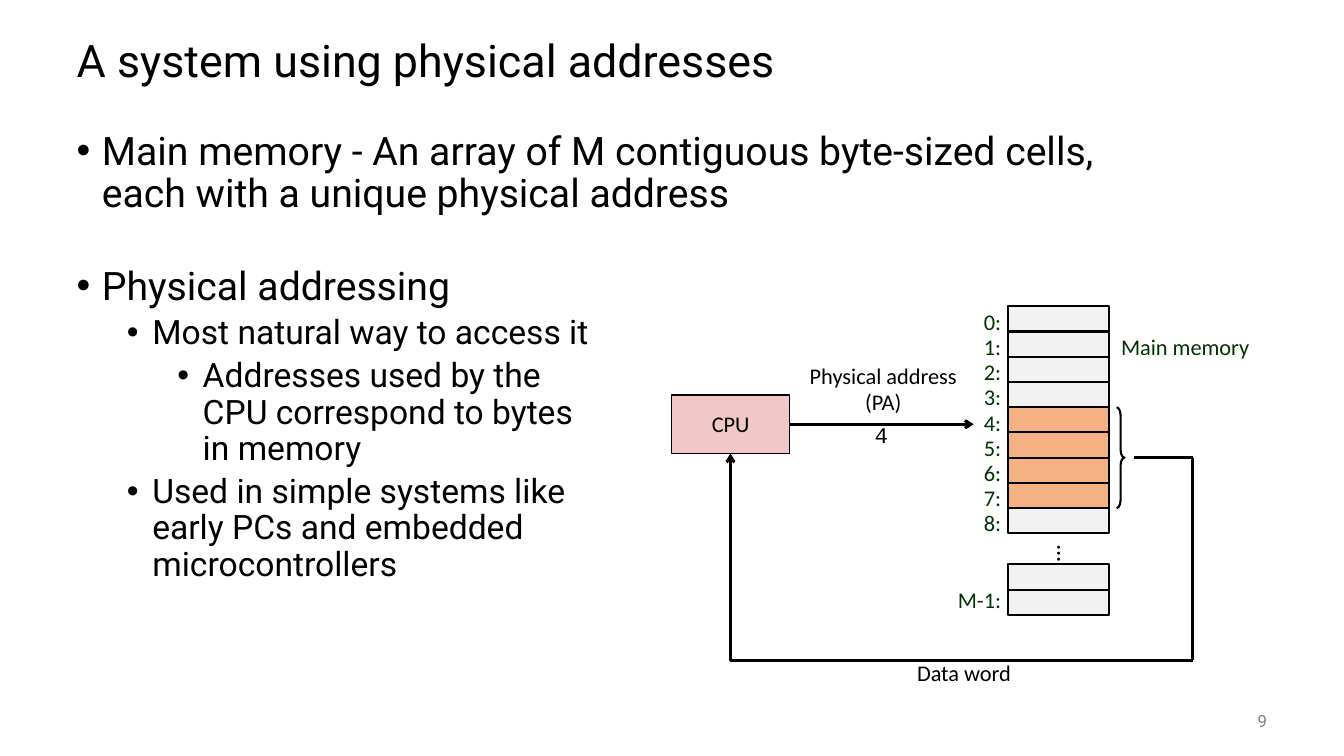
from lxml.etree import SubElement
from pptx import Presentation
from pptx.dml.color import RGBColor
from pptx.enum.shapes import MSO_CONNECTOR, MSO_SHAPE
from pptx.enum.text import MSO_ANCHOR, MSO_AUTO_SIZE, PP_ALIGN
from pptx.oxml.ns import qn
from pptx.util import Cm, Pt

COLORS = {
    "ink": "000000",
    "address": "003300",
    "cell": "F2F2F2",
    "word": "F4B183",
    "cpu": "F1C7C7",
    "page": "808080",
}
LEFT, CENTER, RIGHT = PP_ALIGN.LEFT, PP_ALIGN.CENTER, PP_ALIGN.RIGHT


def write(paragraph, text, size, font="Calibri", color="ink", align=CENTER, spacing=0.98):
    """Fill a paragraph with runs, one for each line of the text."""
    paragraph.alignment = align
    paragraph.line_spacing = spacing
    for number, line in enumerate(text.split("\n")):
        if number:
            paragraph.add_line_break()
        run = paragraph.add_run()
        run.text = line
        run.font.size = Pt(size)
        run.font.name = font
        run.font.color.rgb = RGBColor.from_string(COLORS[color])


def add_box(preset, left, top, width, height, fill=None, weight=1.5):
    box = slide.shapes.add_shape(preset, Cm(left), Cm(top), Cm(width), Cm(height))
    box.shadow.inherit = False
    if fill:
        box.fill.solid()
        box.fill.fore_color.rgb = RGBColor.from_string(COLORS[fill])
    else:
        box.fill.background()
    box.line.color.rgb = RGBColor.from_string(COLORS["ink"])
    box.line.width = Pt(weight)
    return box


deck = Presentation()
deck.slide_width, deck.slide_height = Cm(33.87), Cm(19.05)
slide = deck.slides.add_slide(deck.slide_layouts[5])

# Title
title = slide.shapes.title
title.left, title.top, title.width, title.height = Cm(1.68), Cm(0.64), Cm(30.48), Cm(1.9)
title.text_frame.auto_size = MSO_AUTO_SIZE.NONE
title.text_frame.vertical_anchor = MSO_ANCHOR.MIDDLE
write(title.text_frame.paragraphs[0], "A system using physical addresses", 32, "Roboto",
      align=LEFT, spacing=0.9)

# Bullets: level, size, space before, text
bullets = [
    (0, 28, 0, "Main memory - An array of M contiguous byte-sized cells, "
               "each with a unique physical address"),
    (0, 28, 36, "Physical addressing"),
    (1, 24, 5, "Most natural way to access it"),
    (2, 24, 5, "Addresses used by the\nCPU correspond to bytes\nin memory"),
    (1, 24, 5, "Used in simple systems like\nearly PCs and embedded\nmicrocontrollers"),
]
body = slide.shapes.add_textbox(Cm(1.68), Cm(3.18), Cm(27.94), Cm(14.48)).text_frame
body.word_wrap = True
for number, (level, size, before, text) in enumerate(bullets):
    paragraph = body.add_paragraph() if number else body.paragraphs[0]
    properties = paragraph._p.get_or_add_pPr()
    properties.set("marL", str(Cm(0.64 + 1.27 * level)))
    properties.set("indent", str(-Cm(0.64)))
    SubElement(properties, qn("a:buFont"), typeface="Arial")
    SubElement(properties, qn("a:buChar"), char="•")
    paragraph.level = level
    paragraph.space_before = Pt(before)
    write(paragraph, text, size, "Roboto", align=LEFT, spacing=0.9)

# Memory cells, with the addressed word in bytes 4 to 7
memory_left, memory_top, cell_width = 25.4, 7.72, 2.54
cell_height = 5.72 / 9
last_top = 14.86
cell_tops = [memory_top + cell_height * address for address in range(9)]
for address, top in enumerate(cell_tops + [last_top - cell_height, last_top]):
    add_box(MSO_SHAPE.RECTANGLE, memory_left, top, cell_width, cell_height,
            "word" if 4 <= address <= 7 else "cell")
add_box(MSO_SHAPE.RIGHT_BRACE, 28.14, cell_tops[4], 0.2, 4 * cell_height).adjustments[0] = 1

cpu = add_box(MSO_SHAPE.RECTANGLE, 16.93, 9.95, 2.97, 1.48, "cpu", 1).text_frame
cpu.word_wrap = False
cpu.vertical_anchor = MSO_ANCHOR.MIDDLE
write(cpu.paragraphs[0], "CPU", 16)

# Labels: text, left, top, width, height, size, font, colour, alignment, line spacing, anchor
top_anchor, middle = MSO_ANCHOR.TOP, MSO_ANCHOR.MIDDLE
address_tops = [(f"{address}:", top) for address, top in enumerate(cell_tops)]
address_tops.append(("M-1:", last_top - 0.13))
labels = [
    (text, 23.85, top, 1.63, 0.84, 16, "Calibri", "address", RIGHT, 0.88, top_anchor)
    for text, top in address_tops
] + [
    ("Main memory", 27.94, 8.36, 3.86, 0.84, 16, "Calibri", "address", CENTER, 0.88, top_anchor),
    ("Physical address\n(PA)", 20.09, 9.02, 4.34, 1.6, 16, "Calibri", "ink", CENTER, 0.98, middle),
    ("4", 21.79, 10.49, 0.86, 0.94, 16, "Courier New", "ink", LEFT, 1.0, top_anchor),
    ("Data word", 22.81, 16.51, 2.97, 0.94, 16, "Calibri", "ink", CENTER, 0.98, middle),
    ("...", 25.6, 13.46, 2.54, 0.64, 18, "Calibri", "ink", CENTER, 0.98, middle),
    ("9", 29.64, 17.65, 2.54, 1.02, 12, "Roboto", "page", RIGHT, 1.0, middle),
]
for text, left, top, width, height, size, font, color, align, spacing, anchor in labels:
    frame = slide.shapes.add_textbox(Cm(left), Cm(top), Cm(width), Cm(height)).text_frame
    frame.word_wrap = False
    frame.vertical_anchor = anchor
    write(frame.paragraphs[0], text, size, font, color, align, spacing)
    if text == "...":
        frame._txBody.bodyPr.set("vert", "eaVert")

# Address bus to memory, and data bus back to the CPU: kind, start, end, arrowhead
straight, elbow = MSO_CONNECTOR.STRAIGHT, MSO_CONNECTOR.ELBOW
buses = [
    (straight, (19.9, 10.69), (24.54, 10.69), True),
    (straight, (28.58, 11.53), (30.06, 11.53), False),
    (straight, (30.06, 11.53), (30.06, 16.64), False),
    (elbow, (30.06, 16.64), (18.41, 11.43), True),
]
for kind, start, end, arrow in buses:
    bus = slide.shapes.add_connector(kind, *map(Cm, start + end))
    bus.line.color.rgb = RGBColor.from_string(COLORS["ink"])
    bus.line.width = Pt(2)
    if arrow:
        SubElement(bus.line._get_or_add_ln(), qn("a:tailEnd"), type="arrow")
    SubElement(bus._element.spPr, qn("a:effectLst"))
    if kind == elbow:
        guides = bus._element.spPr.find(qn("a:prstGeom")).get_or_add_avLst()
        SubElement(guides, qn("a:gd"), name="adj1", fmla="val 100000")

deck.save("out.pptx")
